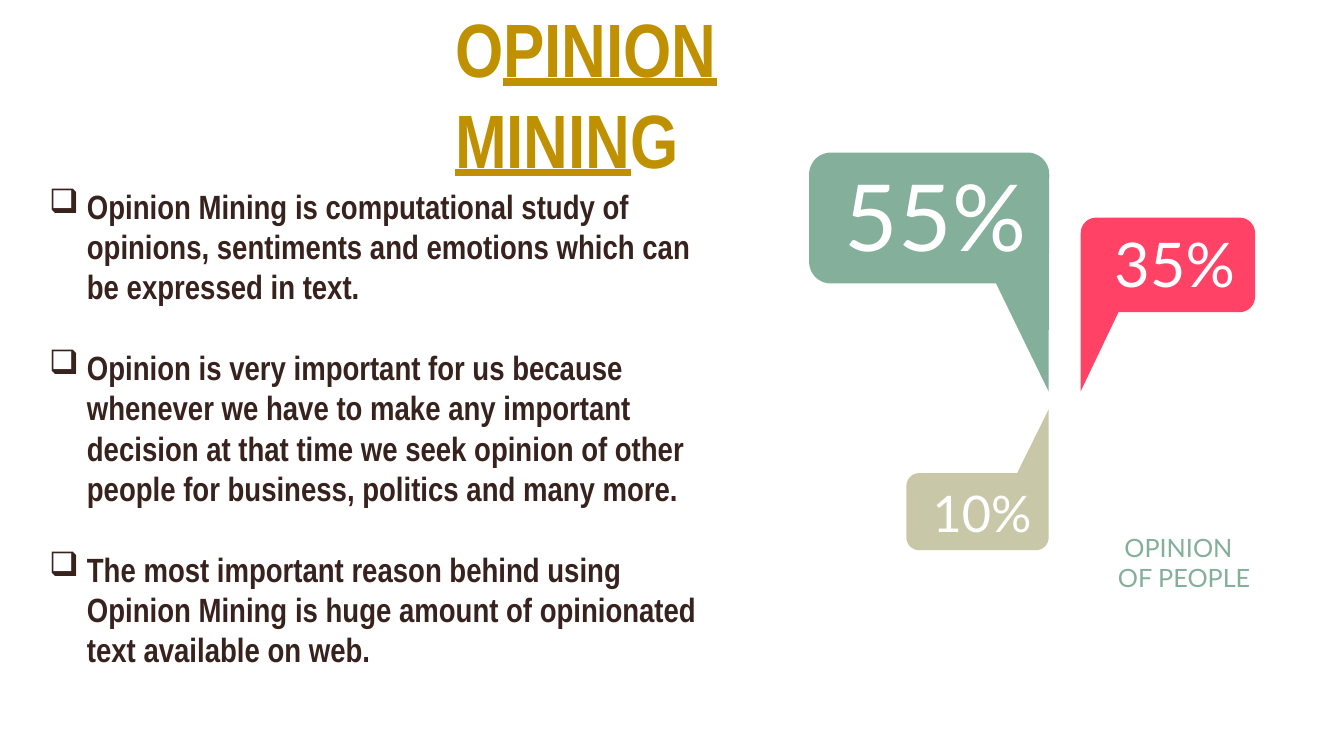
"""Build the Opinion Mining slide with three percentage bubbles."""
from math import cos, radians, sin

from lxml.etree import SubElement
from pptx import Presentation
from pptx.dml.color import RGBColor
from pptx.enum.text import MSO_AUTO_SIZE as AutoSize, PP_ALIGN as Align
from pptx.oxml.ns import qn
from pptx.util import Pt

COLORS = {
    "green": "84AF9B",
    "pink": "FF4266",
    "olive": "C8C7A8",
    "white": "FFFFFF",
    "gold": "BF9000",
    "brown": "38221E",
}

presentation = Presentation()
presentation.slide_width = Pt(960)
presentation.slide_height = Pt(540)
slide = presentation.slides.add_slide(presentation.slide_layouts[6])


def add_text_frame(left, top, width, height):
    frame = slide.shapes.add_textbox(Pt(left), Pt(top), Pt(width), Pt(height)).text_frame
    frame.word_wrap = True
    frame.auto_size = AutoSize.SHAPE_TO_FIT_TEXT
    return frame


def add_run(paragraph, text, *, size, color, font="Lato", bold=False, underline=False):
    run = paragraph.add_run()
    run.text = text
    run.font.size = Pt(size)
    run.font.name = font
    run.font.bold = bold
    run.font.underline = underline
    run.font.color.rgb = RGBColor.from_string(COLORS[color])


bubbles = [
    ("green", (578, 109, 749.5, 202.5), 15.5, "bottom right", [(749, 279.5), (711.5, 202.5)]),
    ("olive", (647.5, 338, 749, 393), 9, "top right", [(726.5, 338), (749, 292.5)]),
    ("pink", (772, 155.5, 896.5, 223), 11, "bottom left", [(799, 223), (772, 279.5)]),
]
for color, (left, top, right, bottom), radius, tail_corner, tail in bubbles:
    corners = [
        ("top left", left + radius, top + radius, 180),
        ("top right", right - radius, top + radius, 270),
        ("bottom right", right - radius, bottom - radius, 0),
        ("bottom left", left + radius, bottom - radius, 90),
    ]
    outline = []
    for corner, center_x, center_y, start in corners:
        if corner == tail_corner:
            outline += tail
            continue
        for angle in range(start, start + 91, 6):
            outline.append((center_x + radius * cos(radians(angle)),
                            center_y + radius * sin(radians(angle))))
    points = [(Pt(x), Pt(y)) for x, y in outline]
    builder = slide.shapes.build_freeform(*points[0])
    builder.add_line_segments(points[1:], close=True)
    bubble = builder.convert_to_shape()
    bubble.shadow.inherit = False
    bubble.fill.solid()
    bubble.fill.fore_color.rgb = RGBColor.from_string(COLORS[color])
    bubble.line.fill.background()

percentages = [
    ("55%", 66, (589, 110, 158.5, 87)),
    ("35%", 44, (767, 157.5, 144, 60.5)),
    ("10%", 36, (629.5, 340.5, 144, 51)),
]
for text, size, box in percentages:
    paragraph = add_text_frame(*box).paragraphs[0]
    paragraph.alignment = Align.CENTER
    add_run(paragraph, text, size=size, color="white")

caption = add_text_frame(791.5, 376.5, 119.5, 51).paragraphs[0]
add_run(caption, " OPINION OF PEOPLE", size=18, color="green")

title = add_text_frame(318, -2, 329, 73).paragraphs[0]
for text, underline in [("O", False), ("PINION MININ", True), ("G", False)]:
    add_run(title, text, size=54, color="gold", font="Arial Narrow", bold=True,
            underline=underline)

statements = [
    "Opinion Mining is computational study of opinions, sentiments and emotions "
    "which can be expressed in text.",
    "Opinion is very important for us because whenever we have to make any important "
    "decision at that time we seek opinion of other people for business, politics "
    "and many more.",
    "The most important reason behind using Opinion Mining is huge amount of "
    "opinionated text available on web.",
]
body = add_text_frame(28, 129, 487, 356)
for index, statement in enumerate(statements):
    paragraph = body.add_paragraph() if index else body.paragraphs[0]
    paragraph.space_before = Pt(28.8 if index else 0)
    add_run(paragraph, statement, size=24, color="brown", font="Arial Narrow", bold=True)
    properties = paragraph._p.get_or_add_pPr()
    properties.set("marL", str(Pt(27)))
    properties.set("indent", str(-Pt(27)))
    SubElement(properties, qn("a:buFont"), typeface="Wingdings")
    SubElement(properties, qn("a:buChar"), char="q")

presentation.save("out.pptx")
